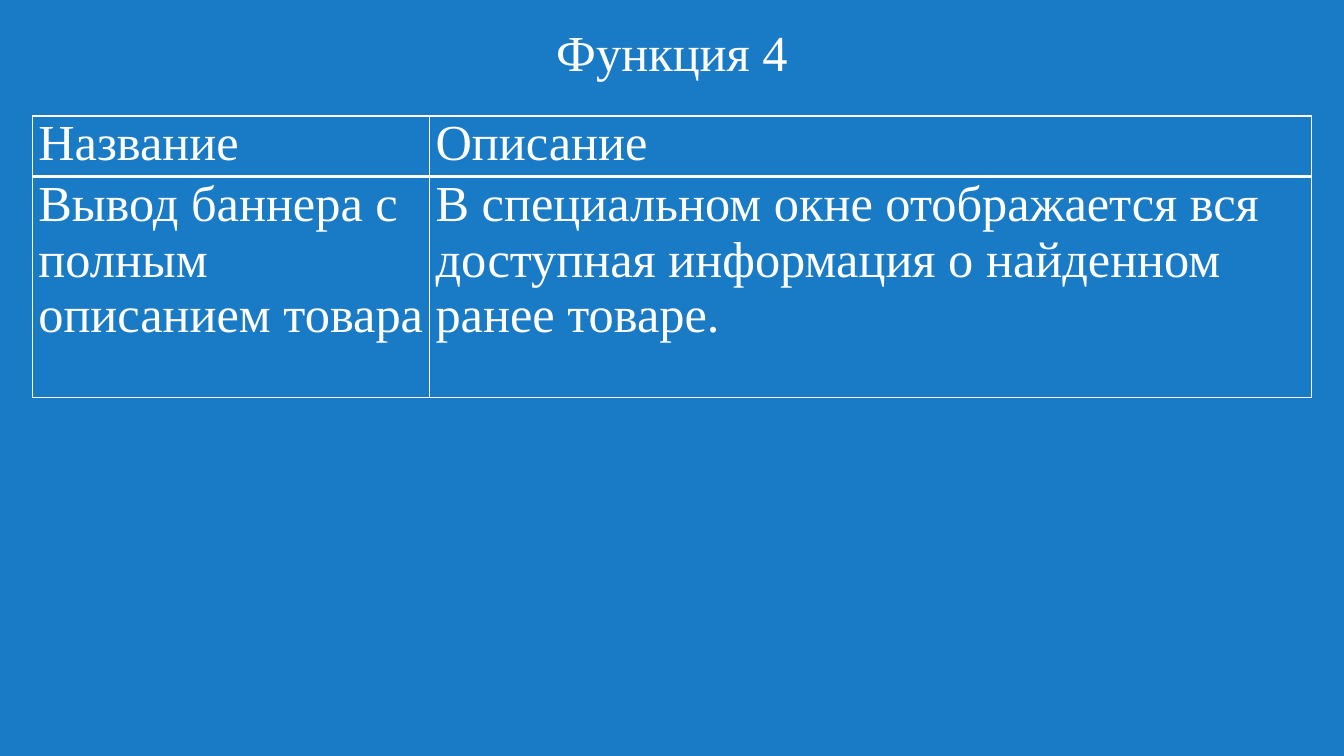
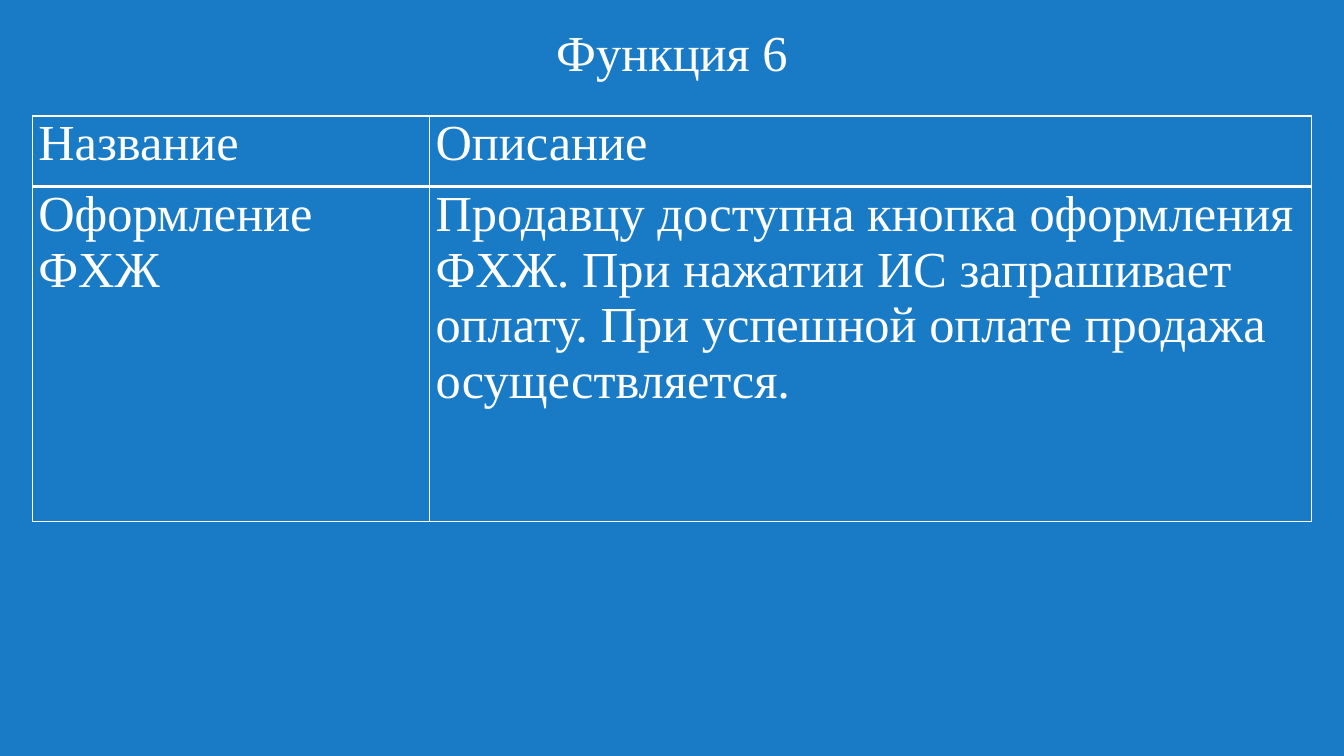
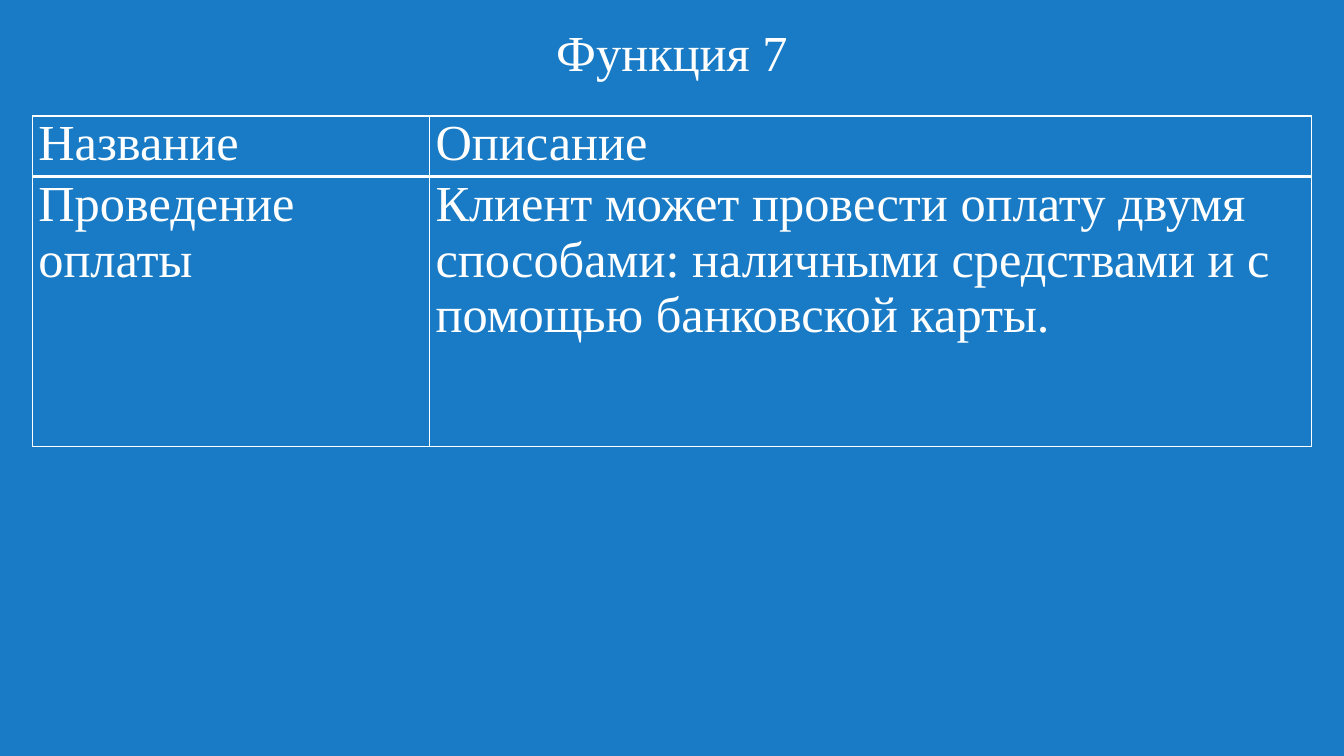
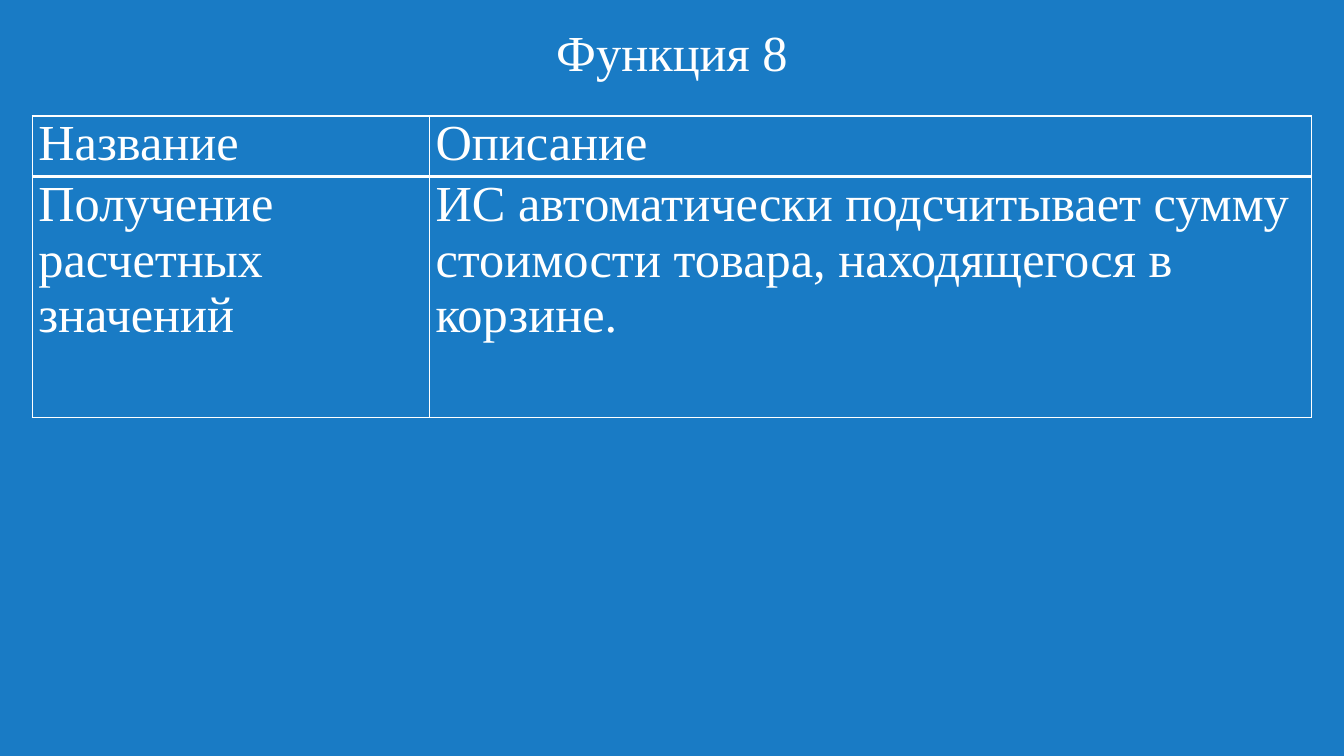
from lxml import etree
from pptx import Presentation
from pptx.dml.color import RGBColor
from pptx.enum import text
from pptx.oxml import ns
from pptx.util import Inches, Pt

BLUE = RGBColor(0x19, 0x7B, 0xC5)
WHITE = RGBColor(0xFF, 0xFF, 0xFF)
FONT = "Times New Roman"
SIZE = Pt(36)

TITLE_BOX = (0.55, 0.01, 12.23, 0.86)
TABLE_LEFT, TABLE_TOP = 0.32, 1.15
COL_WIDTHS = (3.94, 8.75)
HEADER = ("Название", "Описание")
THIN, THICK = Pt(1), Pt(3)

FUNCTIONS = [
    (4, (0.55, 2.19), "Вывод баннера с полным описанием товара",
     "В специальном окне отображается вся доступная информация о найденном ранее товаре."),
    (6, (0.7, 3.32), "Оформление ФХЖ",
     "Продавцу доступна кнопка оформления ФХЖ. При нажатии ИС запрашивает оплату. "
     "При успешной оплате продажа осуществляется."),
    (7, (0.55, 2.68), "Проведение оплаты",
     "Клиент может провести оплату двумя способами: наличными средствами и с помощью банковской карты."),
    (8, (0.55, 2.39), "Получение расчетных значений",
     "ИС автоматически подсчитывает сумму стоимости товара, находящегося в корзине."),
]


def write(tf, value):
    tf.text = value
    p = tf.paragraphs[0]
    font = p.runs[0].font
    font.name, font.size = FONT, SIZE
    font.color.rgb = WHITE
    return p


def set_borders(cell, top, bottom):
    tc_pr = cell._tc.get_or_add_tcPr()
    for side, width in (("L", THIN), ("R", THIN), ("T", top), ("B", bottom)):
        ln = etree.SubElement(tc_pr, ns.qn(f"a:ln{side}"), w=str(width))
        fill = etree.SubElement(ln, ns.qn("a:solidFill"))
        etree.SubElement(fill, ns.qn("a:srgbClr"), val=str(WHITE))


def add_title(s, box, value):
    tf = s.shapes.add_textbox(*map(Inches, box)).text_frame
    tf.word_wrap = True
    tf.vertical_anchor = text.MSO_ANCHOR.BOTTOM
    p = write(tf, value)
    p.alignment = text.PP_ALIGN.CENTER
    p.line_spacing = 0.9


def add_function_table(s, left, top, heights, rows):
    box = (left, top, sum(COL_WIDTHS), sum(heights))
    table = s.shapes.add_table(len(rows), len(COL_WIDTHS), *map(Inches, box)).table
    table.horz_banding = False
    for column, width in zip(table.columns, COL_WIDTHS):
        column.width = Inches(width)
    for i, (height, values) in enumerate(zip(heights, rows)):
        table.rows[i].height = Inches(height)
        for j, value in enumerate(values):
            cell = table.cell(i, j)
            cell.margin_left = cell.margin_right = Inches(0.06)
            cell.margin_top = cell.margin_bottom = 0
            set_borders(cell, *((THIN, THICK) if i == 0 else (THICK, THIN)))
            cell.fill.solid()
            cell.fill.fore_color.rgb = BLUE
            write(cell.text_frame, value).runs[0].font.bold = False


def add_function_slide(prs, number, heights, name, description):
    s = prs.slides.add_slide(prs.slide_layouts[6])
    s.background.fill.solid()
    s.background.fill.fore_color.rgb = BLUE
    add_title(s, TITLE_BOX, f"Функция {number}")
    add_function_table(s, TABLE_LEFT, TABLE_TOP, heights, (HEADER, (name, description)))


def main():
    prs = Presentation()
    prs.slide_width, prs.slide_height = Inches(13.33), Inches(7.5)
    for function in FUNCTIONS:
        add_function_slide(prs, *function)
    prs.save("out.pptx")


if __name__ == "__main__":
    main()
